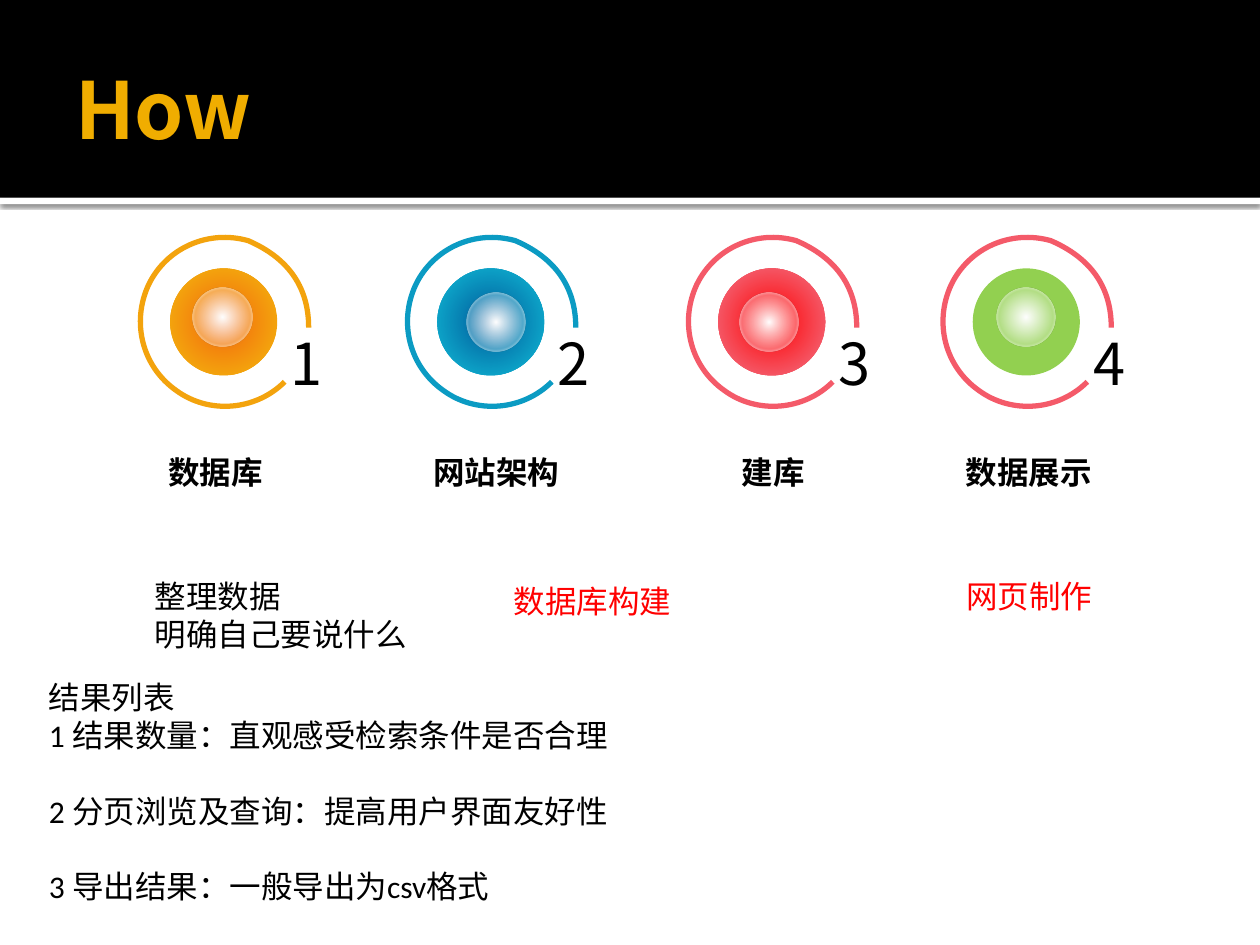
from pptx import Presentation
from pptx.dml.color import RGBColor
from pptx.enum import shapes, text
from pptx.oxml import parse_xml
from pptx.oxml.ns import nsdecls, qn
from pptx.util import Inches, Pt

SANS = "Noto Sans CJK SC"
BODY = "Calibri"
BLACK, RED, WHITE = "000000", "FF0000", "FFFFFF"
RING_RED = "F45A69"
ORB_TOP, ORB_SIZE, GLOW_SIZE = 2.13, 0.85, 0.47
GLOW_STOPS = [(0, WHITE, 100), (64, WHITE, 30), (89, WHITE, 100),
              (96, WHITE, 100), (100, WHITE, 0)]

# Ring box around its orb; its curves are in hundredths of an inch
RING_SHIFT, RING_TOP, RING_WIDTH, RING_HEIGHT = -0.24, 1.88, 1.34, 1.35
RING_START = (115, 115)
RING_CURVES = [
    ((92, 138), (55, 141), (29, 122)),
    ((2, 103), (-7, 68), (7, 38)),
    ((21, 9), (54, -6), (86, 3)),
    ((116, 16), (134, 38), (134, 72)),
]

# Orb left, orb stops, ring colour, glow offset, label, label box, label font
STEPS = [
    (1.35, [(0, "F2650E", 100), (75, "F3A60D", 100)], "F3A30D",
     (0.18, 0.15), "数据库", (1.23, 3.55, 0.96, 0.4), SANS),
    (3.47, [(0, "00589A", 100), (75, "0DA5C9", 100)], "0B9BC3",
     (0.23, 0.19), "网站架构", (3.33, 3.55, 1.22, 0.4), BODY),
    (5.70, [(0, RED, 100), (75, RING_RED, 100)], RING_RED,
     (0.17, 0.19), "建库", (5.78, 3.55, 0.71, 0.4), SANS),
    (7.72, [(0, "92D050", 100)], RING_RED,
     (0.19, 0.15), "数据展示", (7.56, 3.55, 1.21, 0.4), SANS),
]

NOTES = [
    (["整理数据", "明确自己要说什么"], (1.13, 4.53, 2.2, 0.71), BLACK),
    (["网页制作"], (7.57, 4.53, 1.2, 0.4), RED),
    (["数据库构建"], (3.98, 4.57, 1.45, 0.4), RED),
]

RESULTS = [
    "结果列表",
    "1 结果数量：直观感受检索条件是否合理",
    "2 分页浏览及查询：提高用户界面友好性",
    "3 导出结果：一般导出为csv格式",
]


def color(value):
    return RGBColor.from_string(value)


def add_plain(page, kind, area, fill):
    shape = page.shapes.add_shape(kind, *map(Inches, area))
    shape.shadow.inherit = False
    shape.fill.solid()
    shape.fill.fore_color.rgb = color(fill)
    shape.line.fill.background()
    return shape


def add_drop_shadow(shape):
    effects = shape._element.spPr.find(qn("a:effectLst"))
    effects.append(parse_xml(
        f'<a:outerShdw {nsdecls("a")} blurRad="{Pt(2.5)}" dist="{Pt(0.8)}" '
        'dir="5400000" algn="tl" rotWithShape="0"><a:srgbClr val="000000">'
        '<a:alpha val="60000"/></a:srgbClr></a:outerShdw>'))


def add_circle(page, left, top, size, stops):
    """Circle with a radial fill; stops are (position, colour, opacity)."""
    circle = add_plain(page, shapes.MSO_SHAPE.OVAL,
                       (left, top, size, size), stops[0][1])
    if len(stops) == 1:
        return
    marks = "".join(
        f'<a:gs pos="{place * 1000}"><a:srgbClr val="{value}">'
        f'<a:alpha val="{opacity * 1000}"/></a:srgbClr></a:gs>'
        for place, value, opacity in stops)
    gradient = parse_xml(
        f'<a:gradFill {nsdecls("a")} rotWithShape="1"><a:gsLst>{marks}</a:gsLst>'
        '<a:path path="circle"><a:fillToRect l="50000" t="50000" r="50000" '
        'b="50000"/></a:path></a:gradFill>')
    properties = circle._element.spPr
    properties.replace(properties.find(qn("a:solidFill")), gradient)


def add_ring(page, left, line):
    """Open ring: a freeform box whose outline becomes cubic curves."""
    builder = page.shapes.build_freeform(Inches(left), Inches(RING_TOP))
    builder.add_line_segments([(Inches(left + RING_WIDTH),
                                Inches(RING_TOP + RING_HEIGHT))], close=False)
    ring = builder.convert_to_shape()

    def points(knots):
        return "".join(f'<a:pt x="{x}" y="{y}"/>' for x, y in knots)

    curves = "".join(f"<a:cubicBezTo>{points(knots)}</a:cubicBezTo>"
                     for knots in RING_CURVES)
    outline = parse_xml(
        f'<a:path {nsdecls("a")} w="{round(RING_WIDTH * 100)}" '
        f'h="{round(RING_HEIGHT * 100)}"><a:moveTo>{points([RING_START])}'
        f'</a:moveTo>{curves}</a:path>')
    outlines = ring._element.spPr.find(qn("a:custGeom")).find(qn("a:pathLst"))
    outlines.replace(outlines[0], outline)
    ring.shadow.inherit = False
    ring.fill.background()
    ring.line.color.rgb = color(line)
    ring.line.width = Pt(3)


def add_text(page, lines, area, size=18, font=BODY, fill=BLACK, bold=False,
             align=text.PP_ALIGN.LEFT, wrap=False):
    box = page.shapes.add_textbox(*map(Inches, area))
    frame = box.text_frame
    frame.word_wrap = wrap
    frame.text = "\n".join(lines)
    for para in frame.paragraphs:
        para.alignment = align
        para.font.size = Pt(size)
        para.font.name = font
        para.font.bold = bold
        para.font.color.rgb = color(fill)
    return frame


def add_header(page):
    rectangle = shapes.MSO_SHAPE.RECTANGLE
    add_drop_shadow(add_plain(page, rectangle, (0, 1.57, 10, 0.05), WHITE))
    add_plain(page, rectangle, (0, 0, 10, 1.57), BLACK)
    title = add_text(page, ["How"], (0.5, 0.17, 9, 1.37), 45, SANS, "F0AD00",
                     bold=True, wrap=True)
    title.vertical_anchor = text.MSO_ANCHOR.MIDDLE
    title.margin_right = Inches(0.05)


def add_step(page, number, left, stops, ring, glow, label, area, font):
    badge = page.shapes.add_group_shape()
    add_circle(badge, left, ORB_TOP, ORB_SIZE, stops)
    add_ring(badge, left + RING_SHIFT, ring)
    add_text(badge, [str(number)], (left + 0.86, 2.55, 0.45, 0.66), 33, SANS)
    add_circle(page, left + glow[0], ORB_TOP + glow[1], GLOW_SIZE, GLOW_STOPS)
    add_text(page, [label], area, font=font, bold=True,
             align=text.PP_ALIGN.CENTER)


def main():
    deck = Presentation()
    deck.slide_width, deck.slide_height = Inches(10), Inches(7.5)
    page = deck.slides.add_slide(deck.slide_layouts[6])
    add_header(page)
    for number, step in enumerate(STEPS, 1):
        add_step(page, number, *step)
    for lines, area, fill in NOTES:
        add_text(page, lines, area, fill=fill)
    results = add_text(page, RESULTS, (0.29, 5.33, 9.21, 2.52), wrap=True)
    for para in results.paragraphs[2:]:
        para.space_before = Pt(21.8)
    deck.save("out.pptx")


if __name__ == "__main__":
    main()
